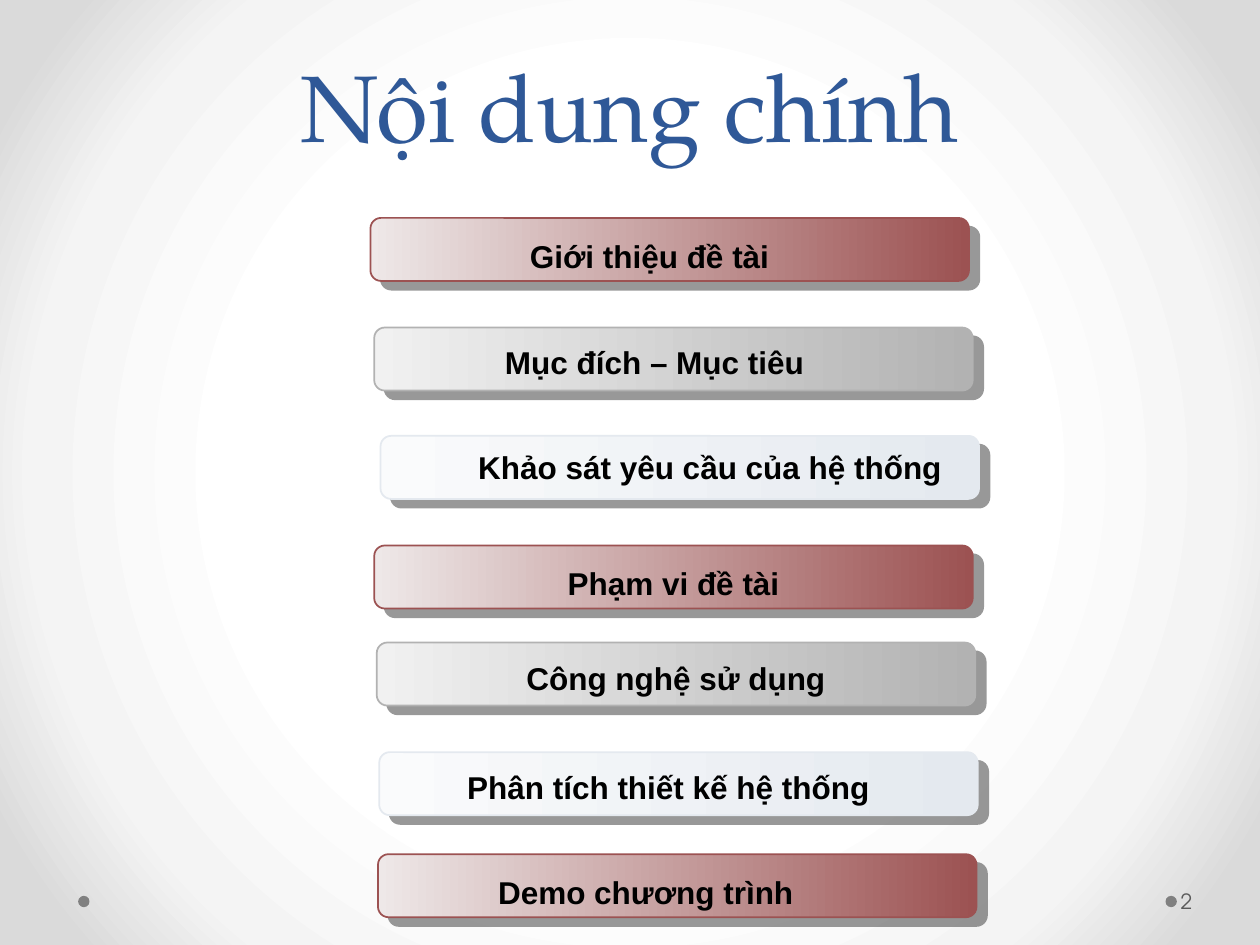
from dataclasses import dataclass

from lxml.etree import SubElement
from pptx import Presentation
from pptx.dml.color import RGBColor
from pptx.enum.shapes import MSO_SHAPE as Shape
from pptx.enum.text import MSO_ANCHOR as Anchor, MSO_AUTO_SIZE as AutoSize, PP_ALIGN as Align
from pptx.oxml.ns import qn
from pptx.util import Inches, Pt


@dataclass(frozen=True)
class Theme:
    """Colours, fonts and type sizes of the slide."""
    title: str = "2F5897"
    label: str = "000000"
    number: str = "595959"
    dot: str = "808080"
    shadow: str = "333333"
    red: tuple = ("EEE8E8", "9C5252")
    grey: tuple = ("F1F1F1", "B2B2B2")
    pale: tuple = ("FAFBFC", "E4E9EF")
    backdrop: tuple = ((50, "FFFFFF"), (76, "F4F4F4"), (92, "DADADA"))
    title_font: str = "TeX Gyre Pagella"
    label_font: str = "Arial"
    number_font: str = "TeX Gyre Adventor"
    title_size: int = 54
    label_size: int = 18
    number_size: int = 12


@dataclass(frozen=True)
class Topic:
    """One agenda bar and the place of its label."""
    text: str
    colours: tuple
    left: float
    top: float
    label_left: float
    label_top: float
    label_width: float = 3.75


THEME = Theme()
BAR_WIDTH, BAR_HEIGHT, LABEL_HEIGHT = 4.75, 0.5, 0.4
DOT_LEFTS, DOT_TOP, DOT_SIZE = (9.25, 0.62), 7.11, 0.09
TOPICS = (
    Topic("Giới thiệu đề tài", THEME.red, 2.94, 1.73, 3.28, 1.83),
    Topic("Mục đích – Mục tiêu", THEME.grey, 2.97, 2.6, 3.32, 2.67),
    Topic("Khảo sát yêu cầu của hệ thống", THEME.pale, 3.02, 3.46, 3.34, 3.51, 4.59),
    Topic("Phạm vi đề tài", THEME.red, 2.97, 4.33, 3.47, 4.43),
    Topic("Công nghệ sử dụng", THEME.grey, 2.99, 5.1, 3.49, 5.18),
    Topic("Phân tích thiết kế hệ thống", THEME.pale, 3.01, 5.97, 3.43, 6.05),
    Topic("Demo chương trình", THEME.red, 3, 6.78, 3.25, 6.88),
)


def rgb(colour: str) -> RGBColor:
    """Turn a hex string into a colour."""
    return RGBColor.from_string(colour)


def write(box, text: str, font: str, size: int, colour: str, align=Align.LEFT, bold=False):
    """Put one formatted line of text in a box and return its paragraph."""
    box.text_frame.text = text
    para = box.text_frame.paragraphs[0]
    para.alignment = align
    span = para.runs[0]
    span.font.name, span.font.size, span.font.bold = font, Pt(size), bold
    span.font.color.rgb = rgb(colour)
    return para


def paint_background(page) -> None:
    """Give the page a gradient that darkens outward from its centre."""
    page.background.fill.gradient()
    gradient = page.element.find(".//" + qn("a:gradFill"))
    for child in list(gradient):
        gradient.remove(child)
    stops = SubElement(gradient, qn("a:gsLst"))
    for position, colour in THEME.backdrop:
        stop = SubElement(stops, qn("a:gs"), pos=str(position * 1000))
        SubElement(stop, qn("a:srgbClr"), val=colour)
    circle = SubElement(gradient, qn("a:path"), path="circle")
    SubElement(circle, qn("a:fillToRect"), l="50000", t="50000", r="50000", b="50000")


def add_dot(page, left: float) -> None:
    """Draw a footer dot."""
    dot = page.shapes.add_shape(Shape.OVAL, Inches(left), Inches(DOT_TOP),
                                Inches(DOT_SIZE), Inches(DOT_SIZE))
    dot.shadow.inherit = False
    dot.fill.solid()
    dot.fill.fore_color.rgb = rgb(THEME.dot)
    dot.line.fill.background()


def add_hard_shadow(shape) -> None:
    """Cast a half-transparent, unblurred shadow to the lower right."""
    shape.shadow.inherit = False
    effects = shape.element.spPr.find(qn("a:effectLst"))
    shadow = SubElement(effects, qn("a:outerShdw"), blurRad="0", dist=str(Pt(7.8)),
                        dir=str(40 * 60000), algn="ctr", rotWithShape="0")
    colour = SubElement(shadow, qn("a:srgbClr"), val=THEME.shadow)
    SubElement(colour, qn("a:alpha"), val="50000")


def add_topic(page, topic: Topic) -> None:
    """Draw an agenda bar grouped with its label."""
    group = page.shapes.add_group_shape()
    bar = group.shapes.add_shape(Shape.ROUNDED_RECTANGLE, Inches(topic.left), Inches(topic.top),
                                 Inches(BAR_WIDTH), Inches(BAR_HEIGHT))
    bar.fill.gradient()
    bar.fill.gradient_angle = 0
    for stop, colour in zip(bar.fill.gradient_stops, topic.colours):
        stop.color.rgb = rgb(colour)
    bar.line.color.rgb = rgb(topic.colours[1])
    bar.line.width = Pt(1)
    add_hard_shadow(bar)

    box = group.shapes.add_textbox(Inches(topic.label_left), Inches(topic.label_top),
                                   Inches(topic.label_width), Inches(LABEL_HEIGHT))
    box.text_frame.word_wrap = True
    box.text_frame.auto_size = AutoSize.SHAPE_TO_FIT_TEXT
    write(box, topic.text, THEME.label_font, THEME.label_size, THEME.label, Align.CENTER, True)


def add_title(page, text: str) -> None:
    """Place and format the title."""
    title = page.shapes.title
    title.left, title.top, title.width, title.height = map(Inches, (0.5, 0, 9, 1.33))
    title.text_frame.vertical_anchor = Anchor.BOTTOM
    para = write(title, text, THEME.title_font, THEME.title_size, THEME.title, Align.CENTER)
    para.line_spacing = Pt(58)


def add_page_number(page, text: str) -> None:
    """Write the page number beside the right-hand dot."""
    box = page.shapes.add_textbox(*map(Inches, (9.34, 6.95, 0.61, 0.4)))
    frame = box.text_frame
    frame.word_wrap = True
    frame.vertical_anchor = Anchor.MIDDLE
    frame.margin_left = Inches(0.03)
    frame.margin_right = frame.margin_top = frame.margin_bottom = Inches(0.05)
    write(box, text, THEME.number_font, THEME.number_size, THEME.number)


def main() -> None:
    """Build and save the deck."""
    deck = Presentation()
    deck.slide_width, deck.slide_height = Inches(10), Inches(7.5)
    page = deck.slides.add_slide(deck.slide_layouts.get_by_name("Title Only"))
    paint_background(page)
    for left in DOT_LEFTS:
        add_dot(page, left)
    add_title(page, "Nội dung chính")
    for topic in TOPICS:
        add_topic(page, topic)
    add_page_number(page, "2")
    deck.save("out.pptx")


main()
